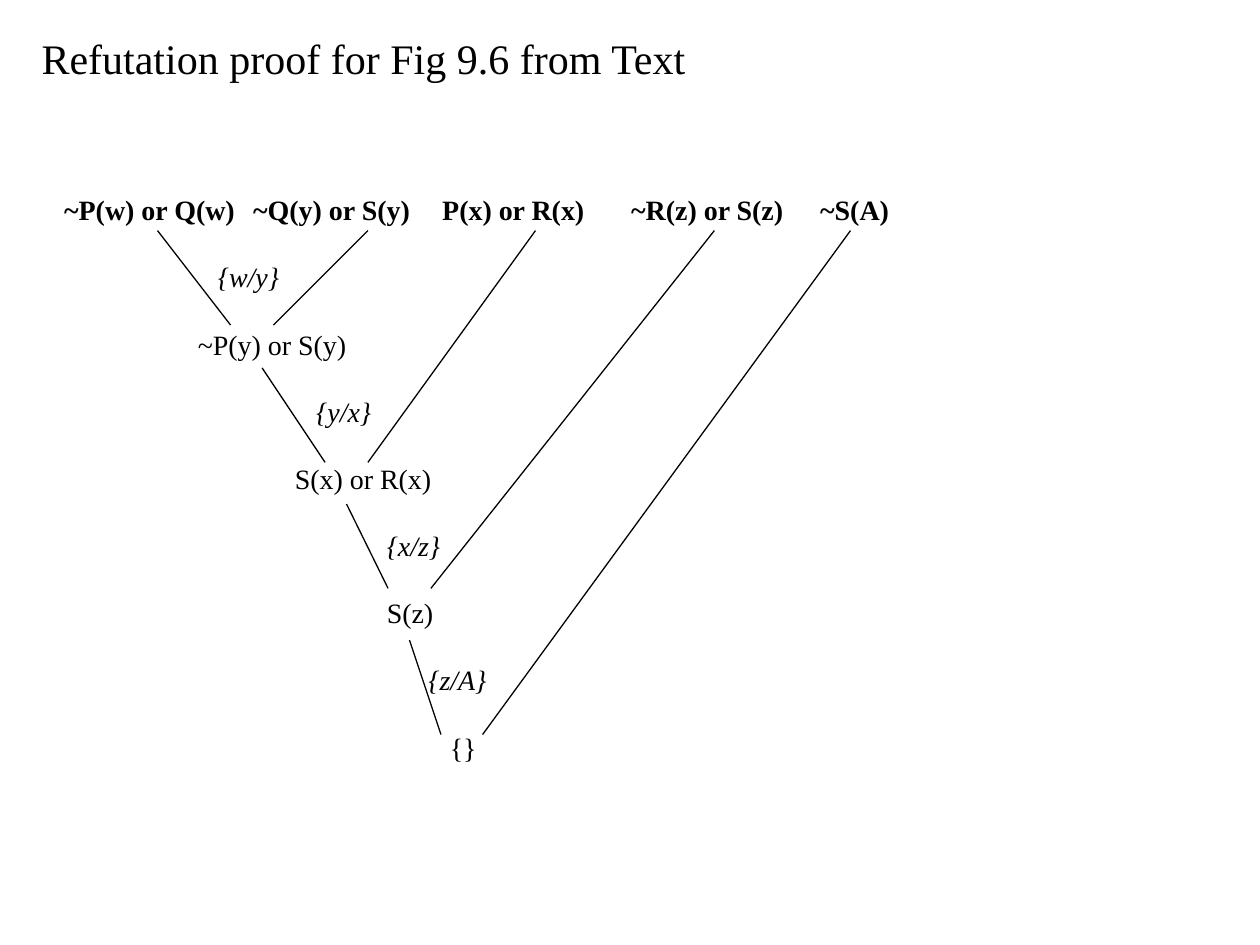
from dataclasses import dataclass

from lxml import etree
from pptx import Presentation
from pptx import util as u
from pptx.dml.color import RGBColor
from pptx.enum import shapes, text
from pptx.oxml.ns import qn


@dataclass(frozen=True)
class Theme:
    font: str = "Times New Roman"
    ink: RGBColor = RGBColor(0, 0, 0)
    title_size: float = 24
    body_size: float = 16
    line_pitch: float = 19.2
    line_width: float = 0.75


class ProofSlide:
    def __init__(self, prs, theme):
        self.theme = theme
        self.s = prs.slides.add_slide(prs.slide_layouts[1])

    def frame(self, sp, box):
        sp.left, sp.top, sp.width, sp.height = map(u.Inches, box)
        tf = sp.text_frame
        tf.word_wrap = True
        tf.auto_size = text.MSO_AUTO_SIZE.NONE
        tf.vertical_anchor = text.MSO_ANCHOR.TOP
        return tf

    def style(self, p, size, bold=False, italic=False):
        p.alignment = text.PP_ALIGN.LEFT
        f = p.font
        f.name, f.size, f.bold, f.italic = self.theme.font, u.Pt(size), bold, italic
        f.color.rgb = self.theme.ink

    def title(self, words, box):
        p = self.frame(self.s.shapes.title, box).paragraphs[0]
        p.text = words
        self.style(p, self.theme.title_size)

    def steps(self, rows, tabs, box):
        tf = self.frame(self.s.placeholders[1], box)
        for i, (indent, words, look) in enumerate(rows):
            p = tf.add_paragraph() if i else tf.paragraphs[0]
            p.text = words
            self.style(p, self.theme.body_size, **look)
            p.line_spacing = u.Pt(self.theme.line_pitch)
            p.space_before = u.Pt(self.theme.line_pitch if i else 0)
            # Plain indented paragraph: no bullet, own tab stops
            pPr = p._p.get_or_add_pPr()
            pPr.set("marL", str(u.Inches(indent)))
            pPr.set("indent", "0")
            bullet = etree.Element(qn("a:buNone"))
            pPr.find(qn("a:spcBef")).addnext(bullet)
            if "\t" in words:
                stops = etree.Element(qn("a:tabLst"))
                bullet.addnext(stops)
                for pos in tabs:
                    etree.SubElement(stops, qn("a:tab"), pos=str(u.Inches(pos)), algn="l")

    def line(self, start, end):
        ends = [u.Inches(v) for v in (*start, *end)]
        c = self.s.shapes.add_connector(shapes.MSO_CONNECTOR.STRAIGHT, *ends)
        c.line.color.rgb = self.theme.ink
        c.line.width = u.Pt(self.theme.line_width)
        etree.SubElement(c._element.spPr, qn("a:effectLst"))


BOLD, ITALIC, PLAIN = {"bold": True}, {"italic": True}, {}
CLAUSES = ["~P(w) or Q(w)", "~Q(y) or S(y)", "P(x) or R(x)", "~R(z) or S(z)", "~S(A)"]
CLAUSE_TABS = [1.74, 3.37, 4.77, 6.2]

# Each resolution: (indent, substitution), (indent, resolvent)
RESOLUTIONS = [
    ((1.22, "{w/y}"), (1.06, "~P(y) or S(y)")),
    ((2.0, "{y/x}"), (1.83, "S(x) or R(x)")),
    ((2.56, "{x/z}"), (2.56, "S(z)")),
    ((2.89, "{z/A}"), (3.06, "{}")),
]

# Each join: start of left line, start x of the clause line, end x of both, end y
CLAUSE_Y = 1.83
JOINS = [
    ((1.25, CLAUSE_Y), 2.92, (1.83, 2.17), 2.58),
    ((2.08, 2.92), 4.25, (2.58, 2.92), 3.67),
    ((2.75, 4.0), 5.67, (3.08, 3.42), 4.67),
    ((3.25, 5.08), 6.75, (3.5, 3.83), 5.83),
]


def main():
    prs = Presentation()
    prs.slide_width, prs.slide_height = u.Inches(10), u.Inches(7.5)
    slide = ProofSlide(prs, Theme())

    slide.title("Refutation proof for Fig 9.6 from Text", (0.23, 0.21, 5.34, 0.5))

    # Clauses, then a substitution and a resolvent per step
    rows = [(0, "\t".join(CLAUSES), BOLD)]
    for substitution, resolvent in RESOLUTIONS:
        rows += [(*substitution, ITALIC), (*resolvent, PLAIN)]
    slide.steps(rows, CLAUSE_TABS, (0.41, 1.48, 6.97, 4.63))

    # Lines of the proof tree
    for left_start, clause_x, (left_x, right_x), end_y in JOINS:
        slide.line(left_start, (left_x, end_y))
        slide.line((clause_x, CLAUSE_Y), (right_x, end_y))

    prs.save("out.pptx")


if __name__ == "__main__":
    main()
